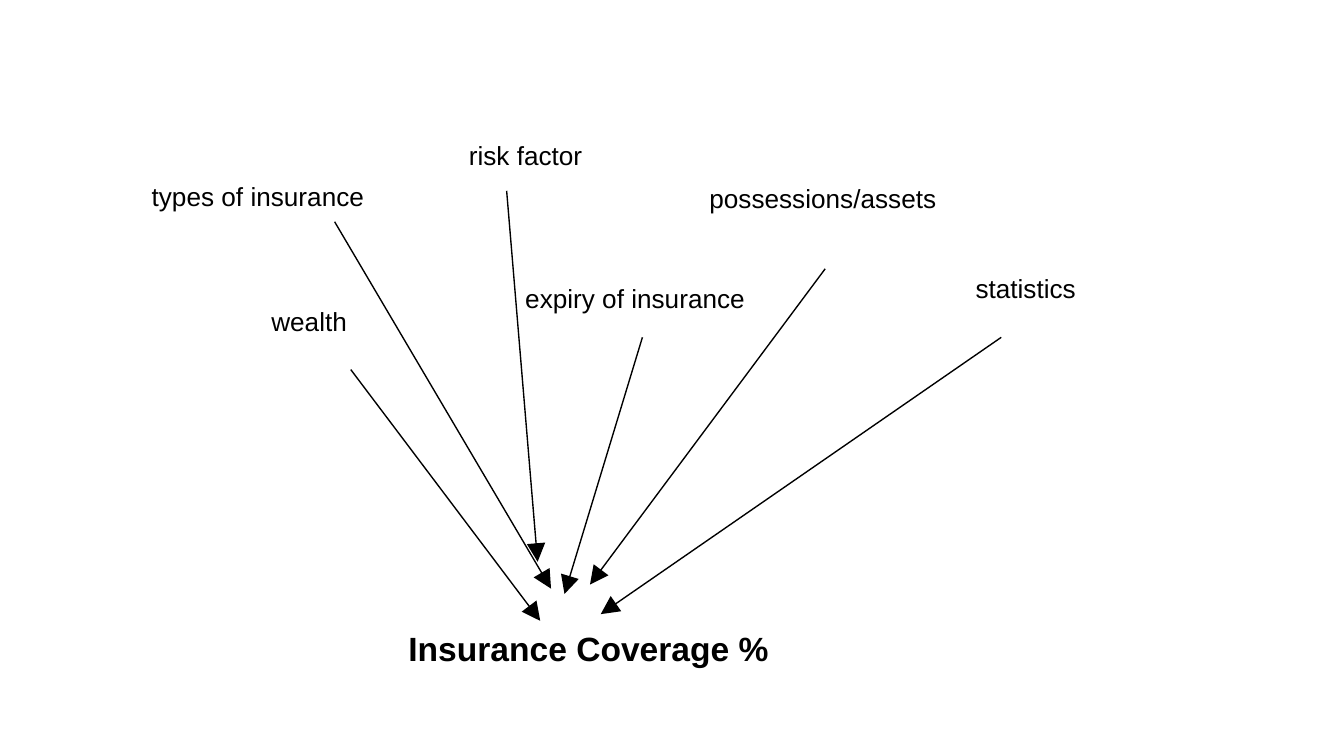
from lxml import etree
from pptx import Presentation
from pptx.dml.color import RGBColor
from pptx.enum.shapes import MSO_CONNECTOR
from pptx.enum.text import MSO_ANCHOR, PP_ALIGN
from pptx.oxml.ns import qn
from pptx.util import Pt

PX = 9144  # 100 px to the inch
SLIDE_WIDTH = 1000 * PX
SLIDE_HEIGHT = SLIDE_WIDTH * 9 // 16
STRAIGHT = MSO_CONNECTOR.STRAIGHT
TOP = MSO_ANCHOR.TOP
LEFT = PP_ALIGN.LEFT
BLANK_LAYOUT = 6

COLORS = {"ink": "000000", "paper": "FFFFFF"}
FONT = "Arial"
INSET = 10

# label, label box (left, top, width, height), arrow start, arrow end
FACTORS = [
    ("types of insurance", (103, 124, 762, 89), (249, 165), (410, 438)),
    ("risk factor", (339, 94, 762, 89), (377, 142), (400, 418)),
    ("possessions/assets", (518, 126, 193, 74), (614, 200), (439, 435)),
    ("statistics", (716, 193, 168, 74), (745, 251), (447, 457)),
    ("wealth", (192, 217, 139, 58), (261, 275), (402, 462)),
    ("expiry of insurance", (381, 200, 193, 52), (478, 251), (420, 442)),
]
OUTCOME = ("Insurance Coverage %", (294, 457, 762, 89))


def color(name):
    return RGBColor.from_string(COLORS[name])


def add_label(page, text, place, size, bold=False):
    box = page.shapes.add_textbox(*(n * PX for n in place))
    frame = box.text_frame
    frame.word_wrap = True
    frame.vertical_anchor = TOP
    frame.margin_left = frame.margin_right = INSET * PX
    frame.margin_top = frame.margin_bottom = INSET * PX
    para = frame.paragraphs[0]
    para.text = text
    para.alignment = LEFT
    para.font.name = FONT
    para.font.size = Pt(size)
    para.font.bold = bold
    para.font.color.rgb = color("ink")


def add_arrow(page, start, end):
    arrow = page.shapes.add_connector(STRAIGHT, *(n * PX for n in start + end))
    arrow.line.color.rgb = color("ink")
    arrow.line.width = Pt(0.75)
    etree.SubElement(arrow.line._get_or_add_ln(), qn("a:tailEnd"),
                     type="triangle", w="lg", len="lg")
    etree.SubElement(arrow._element.spPr, qn("a:effectLst"))


def main():
    deck = Presentation()
    deck.slide_width, deck.slide_height = SLIDE_WIDTH, SLIDE_HEIGHT
    page = deck.slides.add_slide(deck.slide_layouts[BLANK_LAYOUT])
    page.background.fill.solid()
    page.background.fill.fore_color.rgb = color("paper")

    for text, place, start, end in FACTORS:
        add_label(page, text, place, 14)
        add_arrow(page, start, end)
    add_label(page, *OUTCOME, 18, bold=True)

    deck.save("out.pptx")


if __name__ == "__main__":
    main()
